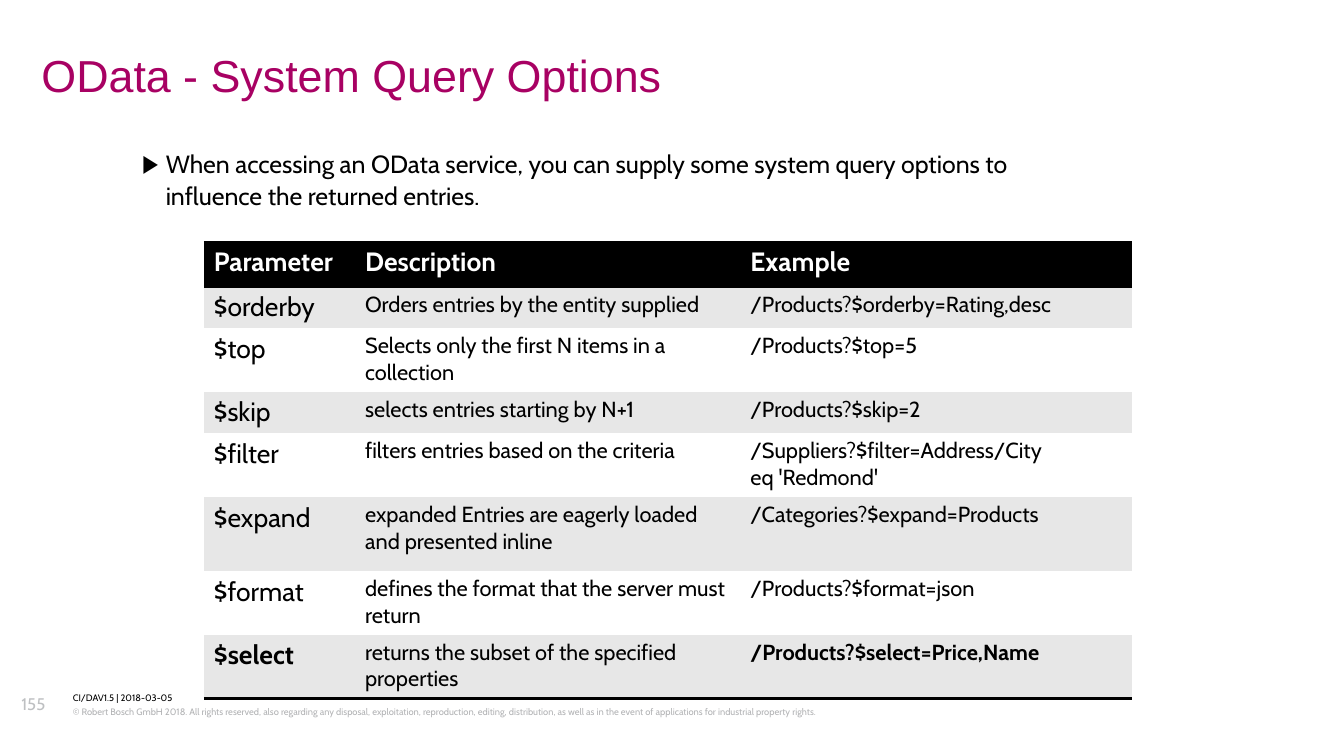
from lxml import etree
from pptx import Presentation
from pptx import util as u
from pptx.dml.color import RGBColor
from pptx.enum import text
from pptx.oxml import ns

BLACK = RGBColor(0x00, 0x00, 0x00)
WHITE = RGBColor(0xFF, 0xFF, 0xFF)
MAGENTA = RGBColor(0xA8, 0x01, 0x63)
BAND = RGBColor(0xE7, 0xE7, 0xE7)
NUMBER_GREY = RGBColor(0xBE, 0xC0, 0xC2)
LEGAL_GREY = RGBColor(0xB2, 0xB3, 0xB5)

UNIT = u.Inches(0.1)
NO_STYLE = "{2D5ABB26-0587-4C30-8999-92F81FD0307C}"

HEADER = ("Parameter", "Description", "Example")
OPTIONS = [
    ("$orderby", "Orders entries by the entity supplied", "/Products?$orderby=Rating,desc"),
    ("$top", "Selects only the first N items in a collection", "/Products?$top=5"),
    ("$skip", "selects entries starting by N+1", "/Products?$skip=2"),
    ("$filter", "filters entries based on the criteria", "/Suppliers?$filter=Address/City \veq 'Redmond'"),
    ("$expand", "expanded Entries are eagerly loaded and presented inline", "/Categories?$expand=Products"),
    ("$format", "defines the format that the server must return", "/Products?$format=json"),
    ("$select", "returns the subset of the specified properties", "/Products?$select=Price,Name"),
]
COLUMN_WIDTHS = (13.5, 34.4, 35)
ROW_HEIGHTS = (4, 3.7, 5.7, 3.7, 5.7, 6.6, 5.7, 5.7)


def grid(*cells):
    """Turn grid columns and rows into slide lengths."""
    return [int(cell * UNIT) for cell in cells]


def place(shape, box):
    """Move a shape to its box on the grid."""
    shape.left, shape.top, shape.width, shape.height = grid(*box)


def write(frame, words, size, color, font="Cabin", bold=False, spacing=None):
    """Fill a text frame with one formatted paragraph."""
    frame.text = words
    frame.word_wrap = True
    paragraph = frame.paragraphs[0]
    paragraph.space_before = u.Pt(0)
    if spacing:
        paragraph.line_spacing = spacing
    paragraph.alignment = text.PP_ALIGN.LEFT
    for run in paragraph.runs:
        run.font.size = u.Pt(size)
        run.font.name = font
        run.font.bold = bold
        run.font.color.rgb = color
    return paragraph


def clear_margins(frame):
    """Remove the inner margins and any automatic fitting."""
    frame.margin_left = frame.margin_right = frame.margin_top = frame.margin_bottom = 0
    frame.auto_size = text.MSO_AUTO_SIZE.NONE


def add_title(slide, box):
    """Place the slide title."""
    title = slide.shapes.title
    place(title, box)
    clear_margins(title.text_frame)
    title.text_frame.vertical_anchor = text.MSO_ANCHOR.MIDDLE
    write(title.text_frame, "OData - System Query Options", 28.8, MAGENTA, "Arial", spacing=0.9)


def add_introduction(slide, box):
    """Place the bulleted introduction in the body placeholder."""
    body = slide.placeholders[1]
    place(body, box)
    clear_margins(body.text_frame)
    body.text_frame.vertical_anchor = text.MSO_ANCHOR.TOP
    words = ("When accessing an OData service, you can supply some system query options "
             "to influence the returned entries.")
    paragraph = write(body.text_frame, words, 16, BLACK, spacing=1.07)
    properties = paragraph._p.get_or_add_pPr()
    indent = u.Inches(0.21)
    properties.set("marL", str(indent))
    properties.set("indent", str(-indent))
    etree.SubElement(properties, ns.qn("a:buChar")).set("char", "▶")


def add_border(cell, side):
    """Draw a black line along one side of a cell."""
    line = etree.Element(ns.qn("a:" + side), w=str(u.Pt(2)))
    fill = etree.SubElement(line, ns.qn("a:solidFill"))
    etree.SubElement(fill, ns.qn("a:srgbClr")).set("val", str(BLACK))
    cell._tc.get_or_add_tcPr().insert(0, line)


def fill_cell(cell, words, size, color, fill, bold):
    """Write and colour one table cell."""
    cell.margin_left = cell.margin_right = u.Inches(0.09)
    cell.margin_top = cell.margin_bottom = u.Inches(0.04)
    cell.fill.solid()
    cell.fill.fore_color.rgb = fill
    write(cell.text_frame, words, size, color, bold=bold)


def add_options_table(slide, left, top):
    """Place the table of query options."""
    rows = [HEADER] + OPTIONS
    box = grid(left, top, sum(COLUMN_WIDTHS), sum(ROW_HEIGHTS))
    table = slide.shapes.add_table(len(rows), len(HEADER), *box).table
    table._tbl.tblPr.find(ns.qn("a:tableStyleId")).text = NO_STYLE
    table.horz_banding = False
    for column, width in zip(table.columns, grid(*COLUMN_WIDTHS)):
        column.width = width
    for row, height in zip(table.rows, grid(*ROW_HEIGHTS)):
        row.height = height
    for i, row in enumerate(rows):
        is_header, is_last = i == 0, i == len(rows) - 1
        color = WHITE if is_header else BLACK
        fill = BLACK if is_header else BAND if i % 2 else WHITE
        for j, words in enumerate(row):
            cell = table.cell(i, j)
            size = 17 if is_header or j == 0 else 14
            fill_cell(cell, words, size, color, fill, is_header or (is_last and j != 1))
            if is_header or is_last:
                add_border(cell, "lnB")
            if is_header:
                add_border(cell, "lnT")


def add_note(slide, box, words, size, color):
    """Place one small text of the footer."""
    frame = slide.shapes.add_textbox(*grid(*box)).text_frame
    clear_margins(frame)
    write(frame, words, size, color, spacing=1.07)


def add_footer(slide, left, top, width):
    """Place the page number, document mark and copyright line."""
    indent = 4.6
    add_note(slide, (left, top + 0.1, 3.8, 2.5), "155", 10.8, NUMBER_GREY)
    add_note(slide, (left + indent, top, width - indent, 1.2), "CI/DAV1.5 | 2018-03-05", 6, BLACK)
    add_note(slide, (left + indent, top + 1.3, width - indent, 2.4),
             "© Robert Bosch GmbH 2018. All rights reserved, also regarding any disposal, "
             "exploitation, reproduction, editing, distribution, as well as in the event of "
             "applications for industrial property rights.", 6, LEGAL_GREY)


def main():
    """Build and save the slide."""
    presentation = Presentation()
    presentation.slide_width, presentation.slide_height = grid(120, 67.5)
    slide = presentation.slides.add_slide(presentation.slide_layouts[1])
    add_footer(slide, 1.9, 61.7, 104.7)
    add_title(slide, (3.7, 4.8, 89.9, 4.3))
    add_introduction(slide, (12.7, 13.1, 83.6, 43.2))
    add_options_table(slide, 18.2, 21.6)
    presentation.save("out.pptx")


if __name__ == "__main__":
    main()
